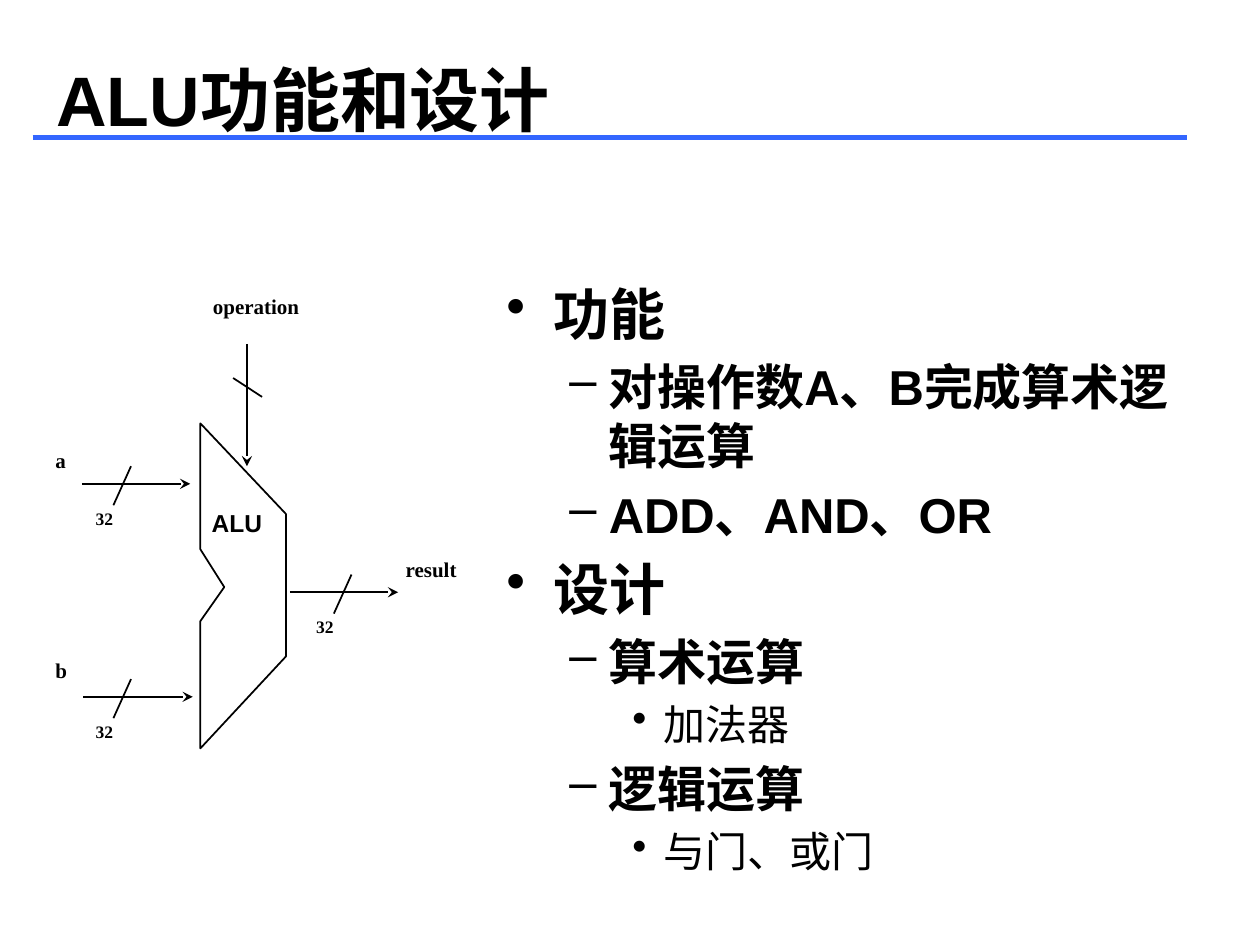
from lxml import etree
from pptx import Presentation
from pptx.dml.color import RGBColor
from pptx.enum.shapes import MSO_CONNECTOR
from pptx.enum.text import MSO_ANCHOR
from pptx.oxml.ns import qn
from pptx.util import Inches, Pt

BLACK = RGBColor(0x00, 0x00, 0x00)
BLUE = RGBColor(0x33, 0x66, 0xFF)
SANS, SERIF = "Arial", "Times New Roman"
STRAIGHT = MSO_CONNECTOR.STRAIGHT
MIDDLE, TOP = MSO_ANCHOR.MIDDLE, MSO_ANCHOR.TOP

# Outline level: bullet, text indent and hanging indent in cells, size, bold
LEVELS = [
    ("•", 3.75, 3.75, 32, True),
    ("–", 8.13, 3.13, 28, True),
    ("•", 12.5, 2.5, 24, False),
]
OUTLINE = [
    (0, "功能"),
    (1, "对操作数A、B完成算术逻辑运算"),
    (1, "ADD、AND、OR"),
    (0, "设计"),
    (1, "算术运算"),
    (2, "加法器"),
    (1, "逻辑运算"),
    (2, "与门、或门"),
]
ALU_OUTLINE = [(15.9, 33.6), (15.9, 43.6), (17.8, 46.6), (15.9, 49.3),
               (15.9, 59.4), (22.7, 52.1), (22.7, 40.8)]


def cells(count):
    """Length of a number of grid cells; the page has 100 columns and 75 rows."""
    return Inches(count / 10)


class Page:
    def __init__(self, deck):
        self.shapes = deck.slides.add_slide(deck.slide_layouts[6]).shapes

    def text_frame(self, area, margins=(1, 0.5), anchor=TOP):
        frame = self.shapes.add_textbox(*map(cells, area)).text_frame
        frame.word_wrap = True
        frame.vertical_anchor = anchor
        frame.margin_left = frame.margin_right = cells(margins[0])
        frame.margin_top = frame.margin_bottom = cells(margins[1])
        return frame

    def set_text(self, para, text, size, font=SANS, bold=True):
        para.text = text
        para.font.name = font
        para.font.size = Pt(size)
        para.font.bold = bold
        para.font.color.rgb = BLACK

    def title(self, text, area):
        frame = self.text_frame(area, anchor=MIDDLE)
        self.set_text(frame.paragraphs[0], text, 40)

    def label(self, text, area, size, spacing, font=SERIF):
        para = self.text_frame(area, (0.2, 0.3)).paragraphs[0]
        para.line_spacing = Pt(spacing)
        self.set_text(para, text, size, font)

    def outline(self, items, area):
        frame = self.text_frame(area)
        for index, (level, text) in enumerate(items):
            para = frame.add_paragraph() if index else frame.paragraphs[0]
            bullet, indent, hanging, size, bold = LEVELS[level]
            para.level = level
            if index:
                para.space_before = Pt(size * 0.2)
            properties = para._p.get_or_add_pPr()
            properties.set("marL", str(cells(indent)))
            properties.set("indent", str(-cells(hanging)))
            etree.SubElement(properties, qn("a:buChar")).set("char", bullet)
            self.set_text(para, text, size, bold=bold)

    def line(self, start, end, color=BLACK, width=1, arrow=False):
        line = self.shapes.add_connector(STRAIGHT, *map(cells, start + end))
        line.line.color.rgb = color
        line.line.width = Pt(width)
        properties = line._element.spPr
        if arrow:
            stroke = properties.find(qn("a:ln"))
            etree.SubElement(stroke, qn("a:tailEnd")).set("type", "stealth")
        etree.SubElement(properties, qn("a:effectLst"))

    def polygon(self, points):
        first, *rest = [(cells(x), cells(y)) for x, y in points]
        builder = self.shapes.build_freeform(*first)
        builder.add_line_segments(rest, close=True)
        shape = builder.convert_to_shape()
        shape.shadow.inherit = False
        shape.fill.background()
        shape.line.color.rgb = BLACK
        shape.line.width = Pt(1)

    def bus(self, left, right, row, slash):
        """Horizontal arrow with a slash and its width in bits."""
        self.line((left, row), (right, row), arrow=True)
        self.line((slash, row - 1.4), (slash - 1.4, row + 1.7))
        self.label("32", (slash - 3, row + 1.6, 6.6, 4.1), 10, 12)


def main():
    deck = Presentation()
    deck.slide_width, deck.slide_height = cells(100), cells(75)
    page = Page(deck)

    page.title("ALU功能和设计", (3.5, 1.6, 85, 12.5))
    page.outline(OUTLINE, (39.2, 21.7, 57.5, 49.2))

    page.polygon(ALU_OUTLINE)
    for left, right, row, slash in [(6.5, 15.1, 38.4, 10.4),
                                    (6.6, 15.3, 55.3, 10.4),
                                    (23, 31.6, 47, 27.9)]:
        page.bus(left, right, row, slash)
    page.line((19.6, 27.3), (19.6, 37), arrow=True)
    page.line((18.5, 30), (20.8, 31.5))

    for name, left, top, width in [("operation", 16.7, 22.5, 13.1),
                                   ("result", 32, 43.4, 8.8),
                                   ("a", 4.2, 34.7, 5.6),
                                   ("b", 4.2, 51.4, 5.6)]:
        page.label(name, (left, top, width, 7.4), 12, 18)
    page.label("ALU", (16.6, 40.1, 7.9, 4.6), 14, 16, SANS)

    page.line((2.6, 10.9), (94.2, 10.9), BLUE, 3)
    deck.save("out.pptx")


if __name__ == "__main__":
    main()
